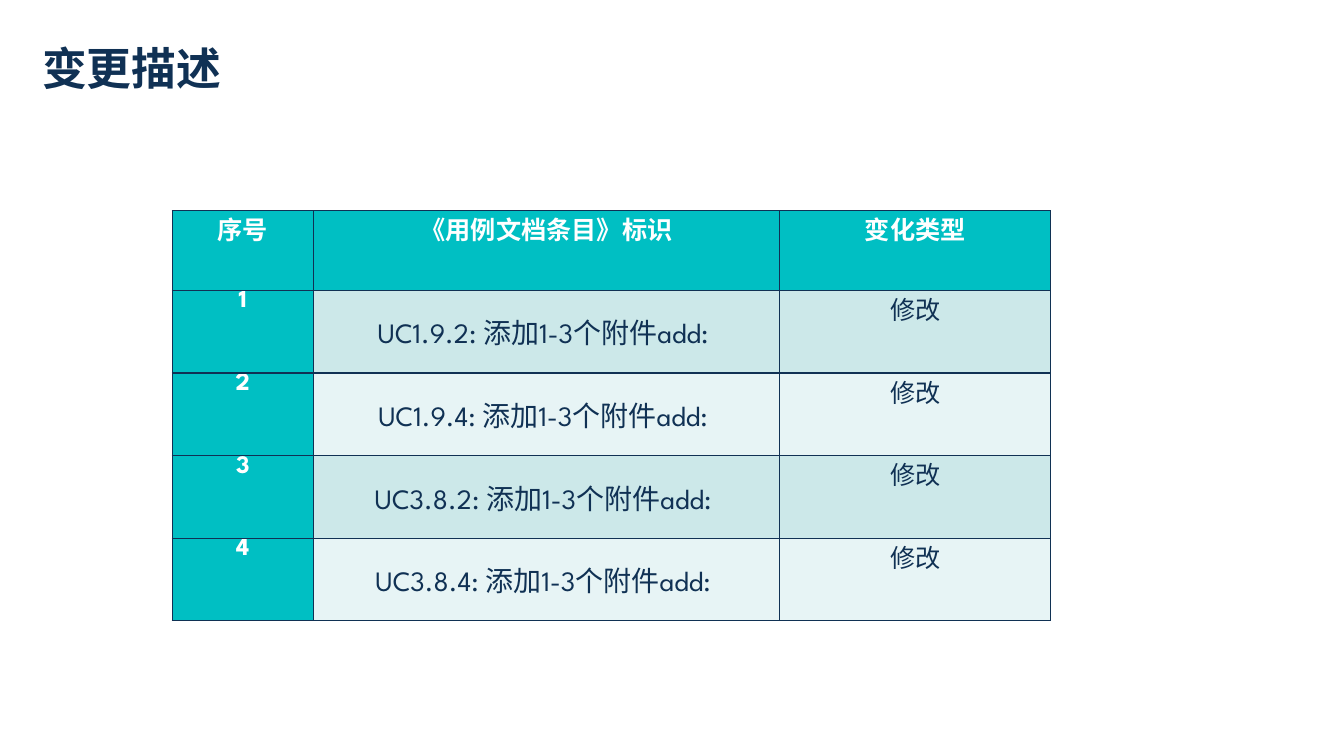
from lxml.etree import SubElement
from pptx import Presentation
from pptx.dml.color import RGBColor
from pptx.enum.text import MSO_ANCHOR, PP_ALIGN
from pptx.oxml.ns import qn
from pptx.util import Inches, Pt

FONT = "League Spartan"
COLORS = {
    "navy": "103154",
    "teal": "00BFC3",
    "band_dark": "CCE8E9",
    "band_light": "E7F4F5",
    "white": "FFFFFF",
}
COL_WIDTHS = [1.4, 4.63, 2.69]
HEADER_HEIGHT, ROW_HEIGHT = 0.79, 0.82
HEADERS = ["序号", "《用例文档条目》标识", "变化类型"]
USE_CASES = ["UC1.9.2", "UC1.9.4", "UC3.8.2", "UC3.8.4"]


def rgb(name):
    return RGBColor.from_string(COLORS[name])


def write(tf, text, size, color, bold=False, align=PP_ALIGN.LEFT):
    p = tf.paragraphs[0]
    p.text = text
    p.alignment = align
    p.font.name = FONT
    p.font.size = Pt(size)
    p.font.bold = bold
    p.font.color.rgb = rgb(color)


def add_title(slide, text):
    tf = slide.shapes.add_textbox(
        Inches(0.32), Inches(0.36), Inches(5.74), Inches(0.64)
    ).text_frame
    tf.word_wrap = True
    write(tf, text, 32, "navy", bold=True)


def add_borders(cell):
    tc_pr = cell._tc.get_or_add_tcPr()
    for side in ("a:lnL", "a:lnR", "a:lnT", "a:lnB"):
        ln = SubElement(tc_pr, qn(side), w=str(Pt(1)))
        fill = SubElement(ln, qn("a:solidFill"))
        SubElement(fill, qn("a:srgbClr"), val=COLORS["navy"])


def style_cell(cell, text, fill, size=18, color="navy", bold=False):
    cell.margin_left = cell.margin_right = Inches(0.07)
    cell.margin_top = cell.margin_bottom = 0
    add_borders(cell)
    cell.fill.solid()
    cell.fill.fore_color.rgb = rgb(fill)
    write(cell.text_frame, text, size, color, bold, PP_ALIGN.CENTER)


def add_change_table(slide):
    heights = [HEADER_HEIGHT] + [ROW_HEIGHT] * len(USE_CASES)
    table = slide.shapes.add_table(
        len(heights), len(COL_WIDTHS), Inches(1.71), Inches(2.09),
        Inches(sum(COL_WIDTHS)), Inches(sum(heights)),
    ).table
    table.first_row = table.horz_banding = False
    for col, width in zip(table.columns, COL_WIDTHS):
        col.width = Inches(width)
    for row, height in zip(table.rows, heights):
        row.height = Inches(height)

    for c, header in enumerate(HEADERS):
        style_cell(table.cell(0, c), header, "teal", color="white", bold=True)
    for r, use_case in enumerate(USE_CASES, start=1):
        band = "band_dark" if r % 2 else "band_light"
        number, label, change = (table.cell(r, c) for c in range(3))
        style_cell(number, str(r), "teal", color="white", bold=True)
        style_cell(label, f"{use_case}: 添加1-3个附件add: ", band, size=20)
        label.vertical_anchor = MSO_ANCHOR.MIDDLE
        style_cell(change, "修改", band)


def main():
    prs = Presentation()
    prs.slide_width, prs.slide_height = Inches(13.34), Inches(7.5)
    slide = prs.slides.add_slide(prs.slide_layouts[6])
    add_title(slide, "变更描述")
    add_change_table(slide)
    prs.save("out.pptx")


if __name__ == "__main__":
    main()
